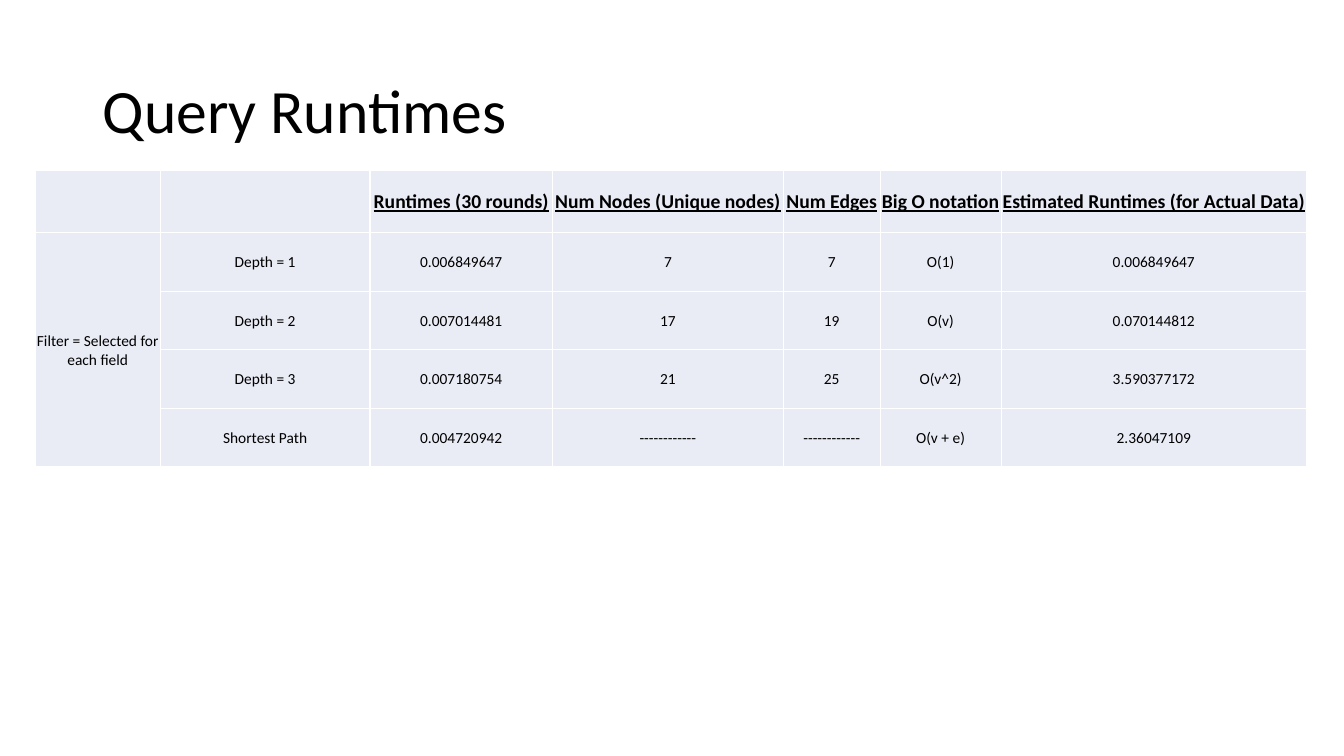
"""Build the Query Runtimes slide with its table of measured and estimated times."""
import pptx
import pptx.dml.color
import pptx.enum.text
import pptx.oxml
import pptx.oxml.ns
import pptx.util

Inches = pptx.util.Inches
Pt = pptx.util.Pt
BLACK = pptx.dml.color.RGBColor(0x00, 0x00, 0x00)
WHITE = pptx.dml.color.RGBColor(0xFF, 0xFF, 0xFF)
PALE = pptx.dml.color.RGBColor(0xE9, 0xEB, 0xF5)
MIDDLE = pptx.enum.text.MSO_ANCHOR.MIDDLE
CENTER = pptx.enum.text.PP_ALIGN.CENTER

DASHES = "-" * 12
WIDTHS = [1.24, 2.08, 1.81, 2.29, 0.96, 1.2, 3.03]
HEIGHTS = [0.62] + [0.58] * 4
ROWS = [
    ["", "", "Runtimes (30 rounds)", "Num Nodes (Unique nodes)", "Num Edges",
     "Big O notation", "Estimated Runtimes (for Actual Data)"],
    ["Filter = Selected for each field", "Depth = 1", "0.006849647", "7", "7",
     "O(1)", "0.006849647"],
    ["", "Depth = 2", "0.007014481", "17", "19", "O(v)", "0.070144812"],
    ["", "Depth = 3", "0.007180754", "21", "25", "O(v^2)", "3.590377172"],
    ["", "Shortest Path", "0.004720942", DASHES, DASHES, "O(v + e)", "2.36047109"],
]


def style(para, size, bold=False):
    for run in para.runs:
        run.font.name = "Calibri"
        run.font.size = Pt(size)
        run.font.color.rgb = BLACK
        run.font.bold = bold
        run.font.underline = bold


def edge(cell):
    props = cell._tc.get_or_add_tcPr()
    for side in ("lnL", "lnR", "lnT", "lnB"):
        props.append(pptx.oxml.parse_xml(
            f'<a:{side} {pptx.oxml.ns.nsdecls("a")} w="{Pt(1)}">'
            f'<a:solidFill><a:srgbClr val="{WHITE}"/></a:solidFill></a:{side}>'))


deck = pptx.Presentation()
deck.slide_width = Inches(13.33)
deck.slide_height = Inches(7.5)
slide = deck.slides.add_slide(deck.slide_layouts[6])

title = slide.shapes.add_textbox(Inches(0.92), Inches(0.4), Inches(11.5), Inches(1.45))
frame = title.text_frame
frame.word_wrap = True
frame.vertical_anchor = MIDDLE
frame.text = "Query Runtimes"
frame.paragraphs[0].line_spacing = 0.9
style(frame.paragraphs[0], 44)

table = slide.shapes.add_table(
    len(ROWS), len(WIDTHS), Inches(0.35), Inches(1.69),
    Inches(sum(WIDTHS)), Inches(sum(HEIGHTS))).table
table.first_row = False
table.horz_banding = False
for col, width in zip(table.columns, WIDTHS):
    col.width = Inches(width)
for row, height, texts in zip(table.rows, HEIGHTS, ROWS):
    row.height = Inches(height)
    head = texts is ROWS[0]
    for cell, text in zip(row.cells, texts):
        cell.text_frame.text = text
        cell.vertical_anchor = MIDDLE
        cell.margin_left = cell.margin_right = cell.margin_top = Inches(0.01)
        cell.margin_bottom = 0
        para = cell.text_frame.paragraphs[0]
        para.alignment = CENTER
        style(para, 14 if head else 11, head)
        edge(cell)
        cell.fill.solid()
        cell.fill.fore_color.rgb = PALE
table.cell(1, 0).merge(table.cell(4, 0))

deck.save("out.pptx")
